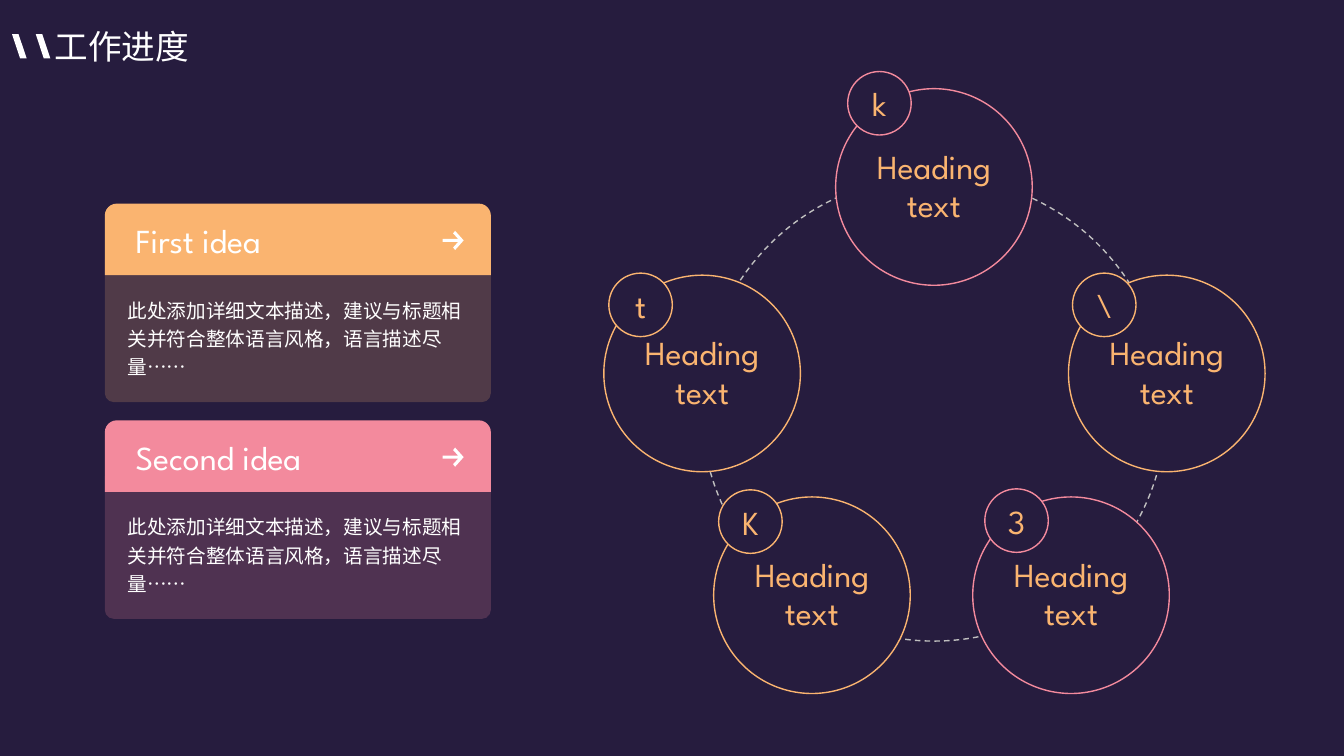
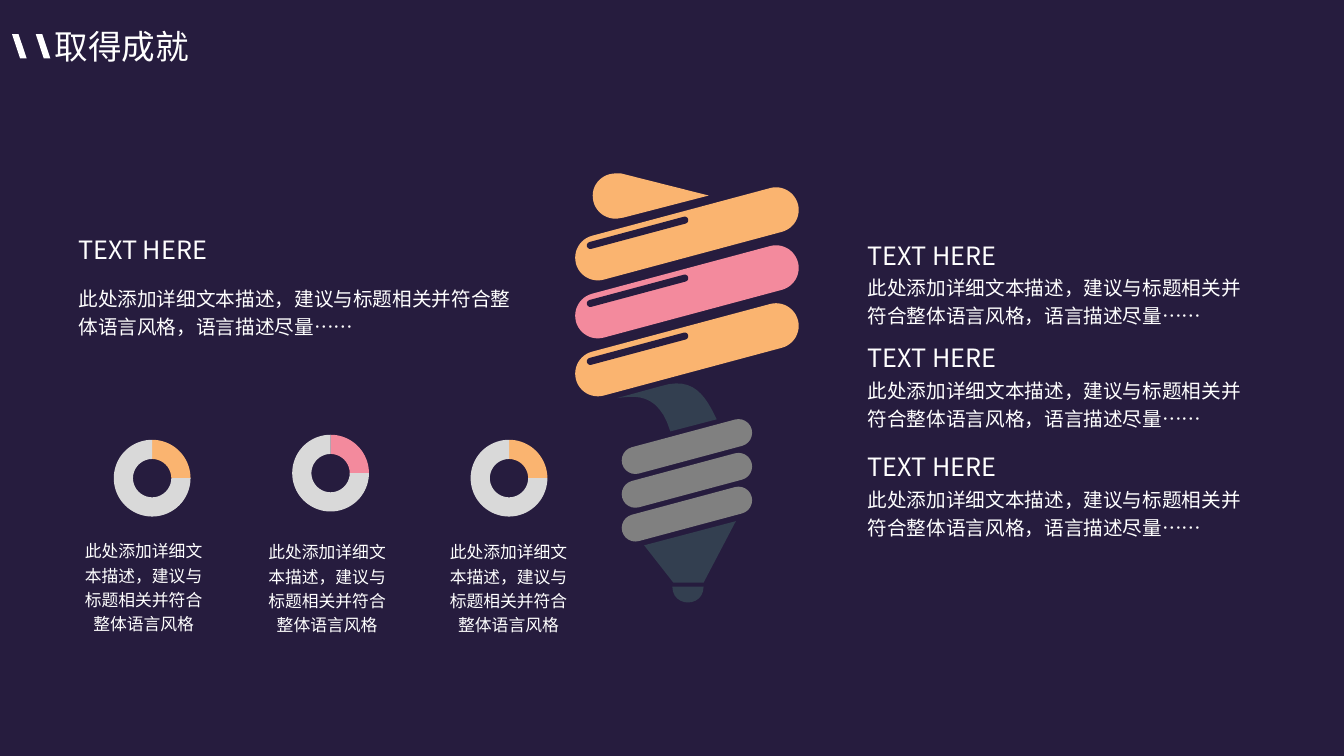
from lxml.etree import SubElement
from pptx import Presentation
from pptx.chart.data import CategoryChartData
from pptx.dml.color import RGBColor
from pptx.enum.chart import XL_CHART_TYPE
from pptx.enum.dml import MSO_LINE
from pptx.enum.shapes import MSO_SHAPE
from pptx.enum.text import MSO_ANCHOR, MSO_AUTO_SIZE, PP_ALIGN
from pptx.oxml import parse_xml
from pptx.oxml.ns import nsdecls, qn
from pptx.util import Inches, Pt

NIGHT = RGBColor(0x26, 0x1C, 0x3E)
WHITE = RGBColor(0xFF, 0xFF, 0xFF)
GOLD = RGBColor(0xFA, 0xB4, 0x70)
PINK = RGBColor(0xF3, 0x8A, 0x9D)
SILVER = RGBColor(0xBF, 0xBF, 0xBF)
PALE = RGBColor(0xD9, 0xD9, 0xD9)
GREY = RGBColor(0x80, 0x80, 0x80)
SLATE = RGBColor(0x33, 0x3F, 0x50)

SPARTAN = "League Spartan"
NOTO = "Noto Sans CJK SC"
COLS, ROWS = 133.33, 75
SHORT = "此处添加详细文本描述，建议与标题相关并符合整体语言风格"
LONG = SHORT + "，语言描述尽量……"


def cell(count):
    return Inches(count / 10)


def curve(start, one, two, end, steps=12):
    dots = []
    for step in range(1, steps + 1):
        t = step / steps
        u = 1 - t
        dots.append(tuple(u**3 * a + 3 * u * u * t * b + 3 * u * t * t * c + t**3 * d
                          for a, b, c, d in zip(start, one, two, end)))
    return dots


class Deck:
    """Draws styled elements on a grid of tenth-inch columns and rows."""

    def __init__(self):
        self.show = Presentation()
        self.show.slide_width, self.show.slide_height = cell(COLS), cell(ROWS)
        ground = self.show.slide_master.background.fill
        ground.solid()
        ground.fore_color.rgb = NIGHT
        self.slide = None

    def page(self, title):
        self.slide = self.show.slides.add_slide(self.show.slide_layouts[5])
        head = self.slide.shapes.title
        head.left, head.top, head.width, head.height = map(cell, (4.4, 2.1, 22.1, 5))
        self.label(head, title, 24, anchor=MSO_ANCHOR.MIDDLE)
        for x in (1.2, 3.55):
            self.outline([(x, 3.4), (x + 0.65, 3.4), (x + 1.45, 5.8), (x + 0.8, 5.8)], WHITE)

    def label(self, shape, text, size, color=WHITE, font=SPARTAN, align=PP_ALIGN.LEFT,
              lead=1, after=0, inset=(1, 0.5, 1, 0.5), anchor=MSO_ANCHOR.TOP):
        frame = shape.text_frame
        frame.text = text
        frame.word_wrap = True
        frame.auto_size = MSO_AUTO_SIZE.NONE
        frame.vertical_anchor = anchor
        (frame.margin_left, frame.margin_top,
         frame.margin_right, frame.margin_bottom) = map(cell, inset)
        para = frame.paragraphs[0]
        para.alignment, para.line_spacing, para.space_after = align, lead, Pt(after)
        for run in para.runs:
            run.font.size, run.font.name = Pt(size), font
            run.font.color.rgb = color
            SubElement(run.font._element, qn("a:ea"), typeface=NOTO)

    def text(self, box, text, size, **style):
        self.label(self.slide.shapes.add_textbox(*map(cell, box)), text, size, **style)

    def paint(self, shape, fill=None, line=None):
        shape.shadow.inherit = False
        if fill is None:
            shape.fill.background()
        else:
            shape.fill.solid()
            shape.fill.fore_color.rgb = fill
        if line is None:
            shape.line.fill.background()
        else:
            shape.line.color.rgb = line
            shape.line.width = Pt(1)
        return shape

    def shape(self, kind, box, fill=None, line=None):
        return self.paint(self.slide.shapes.add_shape(kind, *map(cell, box)), fill, line)

    def outline(self, dots, fill):
        first, *rest = [(cell(x), cell(y)) for x, y in dots]
        pen = self.slide.shapes.build_freeform(*first)
        pen.add_line_segments(rest, close=True)
        self.paint(pen.convert_to_shape(), fill)

    def pill(self, x, y, width, height, fill):
        box = (x - width / 2, y - height / 2, width, height)
        bar = self.shape(MSO_SHAPE.ROUNDED_RECTANGLE, box, fill)
        bar.adjustments[0] = 0.5
        bar.rotation = -15

    def disc(self, box, text, line, **style):
        disc = self.shape(MSO_SHAPE.OVAL, box, NIGHT, line)
        self.label(disc, text, 24, GOLD, align=PP_ALIGN.CENTER, inset=(0, 0, 0, 0),
                   anchor=MSO_ANCHOR.MIDDLE, **style)

    def bubble(self, x, y, across, down, mark, line):
        self.disc((x, y, 19.5, 19.5), "Heading text", line, lead=0.95)
        self.disc((x + across, y + down, 6.3, 6.3), mark, line, after=3)

    def card(self, x, y, title, fill):
        body = self.shape(MSO_SHAPE.ROUNDED_RECTANGLE, (x, y + 4.7, 38.3, 15), fill)
        body.adjustments[0] = 0.06
        SubElement(body.element.spPr.find(".//" + qn("a:srgbClr")), qn("a:alpha"), val="20000")
        self.label(body, LONG, 14, font=NOTO, lead=1.2, after=2.7, inset=(2, 4, 1, 2))
        head = self.shape(MSO_SHAPE.ROUND_2_SAME_RECTANGLE, (x, y, 38.3, 7.1), fill)
        self.label(head, title, 24, inset=(2.7, 1.3, 2.7, 1.3))
        arrow = [(0, 0.8), (1.55, 0.8), (1.05, 0.25), (1.25, 0), (2.1, 0.95),
                 (1.25, 1.9), (1.05, 1.65), (1.55, 1.1), (0, 1.1)]
        self.outline([(x + 33.5 + a, y + 2.7 + b) for a, b in arrow], WHITE)

    def donut(self, x, y, fill):
        data = CategoryChartData()
        data.categories = ["1", "2"]
        data.add_series("Series 1", (25, 75))
        chart = self.slide.shapes.add_chart(
            XL_CHART_TYPE.DOUGHNUT, *map(cell, (x, y, 13.2, 10.3)), data).chart
        chart.has_legend = chart.has_title = False
        chart.font.name, chart.font.size = SPARTAN, Pt(18)
        plot = chart.plots[0]
        plot.vary_by_categories = True
        for spot, color in enumerate((fill, PALE)):
            part = plot.series[0].points[spot].format
            part.fill.solid()
            part.fill.fore_color.rgb = color
            part.line.fill.background()
        area = chart.element.find(".//" + qn("c:plotArea")) if hasattr(chart, "element") \
            else chart._chartSpace.find(".//" + qn("c:plotArea"))
        area.find(".//" + qn("c:holeSize")).set("val", "37")
        for old in area.findall(qn("c:layout")):
            area.remove(old)
        sides = {"x": 0.21, "y": 0.13, "w": 0.58, "h": 0.74}
        area.insert(0, parse_xml(
            f'<c:layout {nsdecls("c")}><c:manualLayout><c:layoutTarget val="inner"/>'
            '<c:xMode val="edge"/><c:yMode val="edge"/>'
            + "".join(f'<c:{key} val="{share}"/>' for key, share in sides.items())
            + "</c:manualLayout></c:layout>"))

    def note(self, x, y, width, gap):
        self.text((x, y, width, 4.1), "TEXT HERE", 18, font=NOTO)
        self.text((x, y + gap, width, 6.5), LONG, 14, lead=1.2)

    def bulb(self):
        mid = 68.15
        for row in range(3):
            self.pill(mid, 44.3 + 3.35 * row, 13.3, 2.7, GREY)
        neck = [(65.6, 38.3), *curve((65.6, 38.3), (68.8, 37.3), (70, 39.3), (71.1, 41.6)),
                (66.5, 42.8), *curve((66.5, 42.8), (65.3, 38.8), (62.8, 39.3), (61.2, 39.5))]
        cone = [(73, 51.7), (69.8, 57.8), (66.8, 57.8), (63.9, 54.1)]
        tip = [(66.7, 58.2), (69.8, 58.2),
               *curve((69.8, 58.2), (69.8, 60.3), (66.7, 60.3), (66.7, 58.2))]
        for dots in (neck, cone, tip):
            self.outline(dots, SLATE)
        self.outline([(61.6, 17.2), (70.3, 19.4), (61.8, 21.6),
                      *curve((61.8, 21.6), (61.6, 21.6), (61.3, 21.7), (61.1, 21.7)),
                      *curve((61.1, 21.7), (59.8, 21.7), (58.8, 20.7), (58.8, 19.4)),
                      *curve((58.8, 19.4), (58.8, 18.2), (59.8, 17.2), (61.1, 17.2))], GOLD)
        for row, fill in enumerate((GOLD, PINK, GOLD)):
            y = 23.2 + 5.75 * row
            self.pill(mid, y, 22.8, 4.5, fill)
            self.pill(63.25, y - 0.1, 10.4, 0.7, NIGHT)


def main():
    deck = Deck()
    deck.page("工作进度")
    ring = deck.shape(MSO_SHAPE.OVAL, (69.6, 17.5, 46.1, 46.1), line=SILVER)
    ring.line.dash_style = MSO_LINE.DASH
    for bubble in ((59.9, 27.3, 0.5, -0.2, "t", GOLD), (96.5, 49.3, 1.2, -0.8, "3", PINK),
                   (82.9, 8.8, 1.2, -1.7, "k", PINK), (106, 27.3, 0.4, -0.2, "\\", GOLD),
                   (70.8, 49.3, 0.5, -0.7, "K", GOLD)):
        deck.bubble(*bubble)
    deck.card(10.4, 20.2, "First idea", GOLD)
    deck.card(10.4, 41.7, "Second idea", PINK)

    deck.page("取得成就")
    deck.bulb()
    for x, y, fill, left, top in ((8.5, 42.3, GOLD, 6.8, 52.8), (26.2, 41.8, PINK, 25, 52.9),
                                  (43.9, 42.3, GOLD, 43, 52.9)):
        deck.donut(x, y, fill)
        deck.text((left, top, 14.9, 10.6), SHORT, 12, align=PP_ALIGN.CENTER, lead=1.2)
    deck.note(6.8, 22.8, 46.2, 4.7)
    for y in (23.3, 33.5, 44.3):
        deck.note(85.1, y, 39.6, 3.1)
    deck.show.save("out.pptx")


if __name__ == "__main__":
    main()
